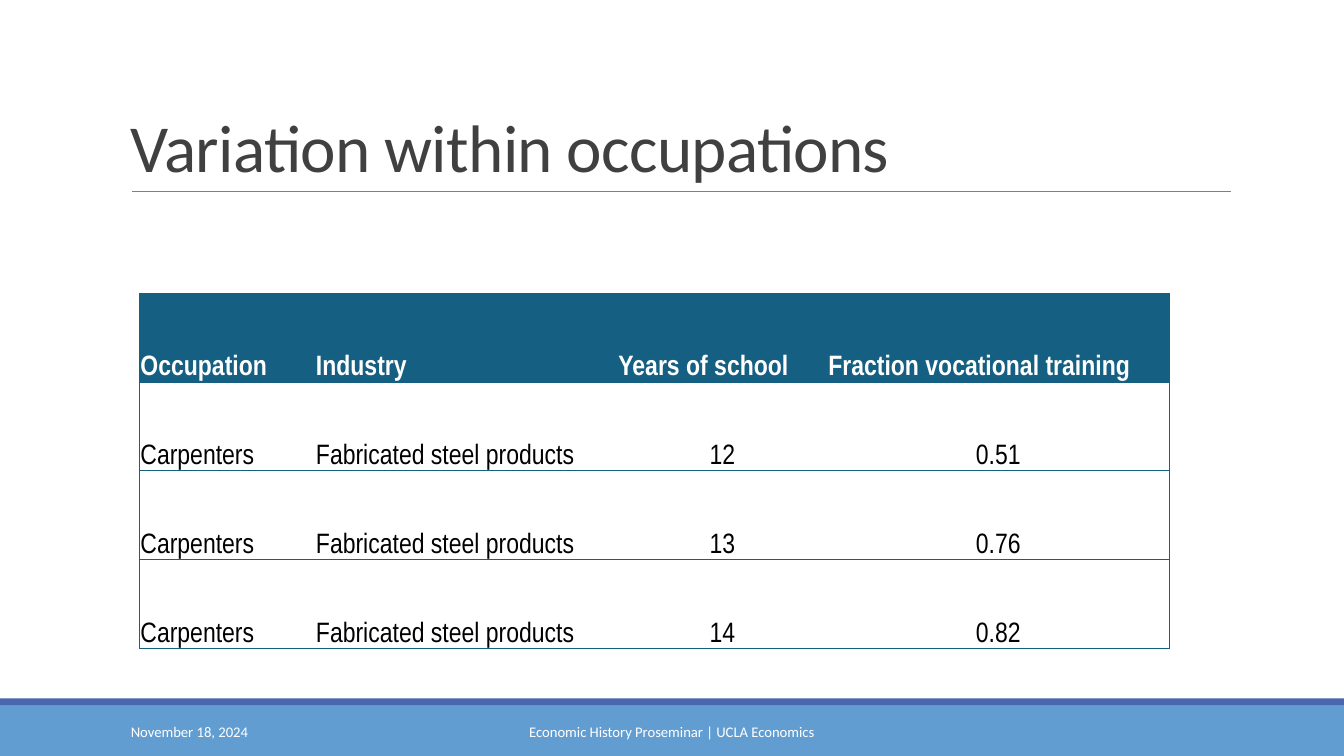
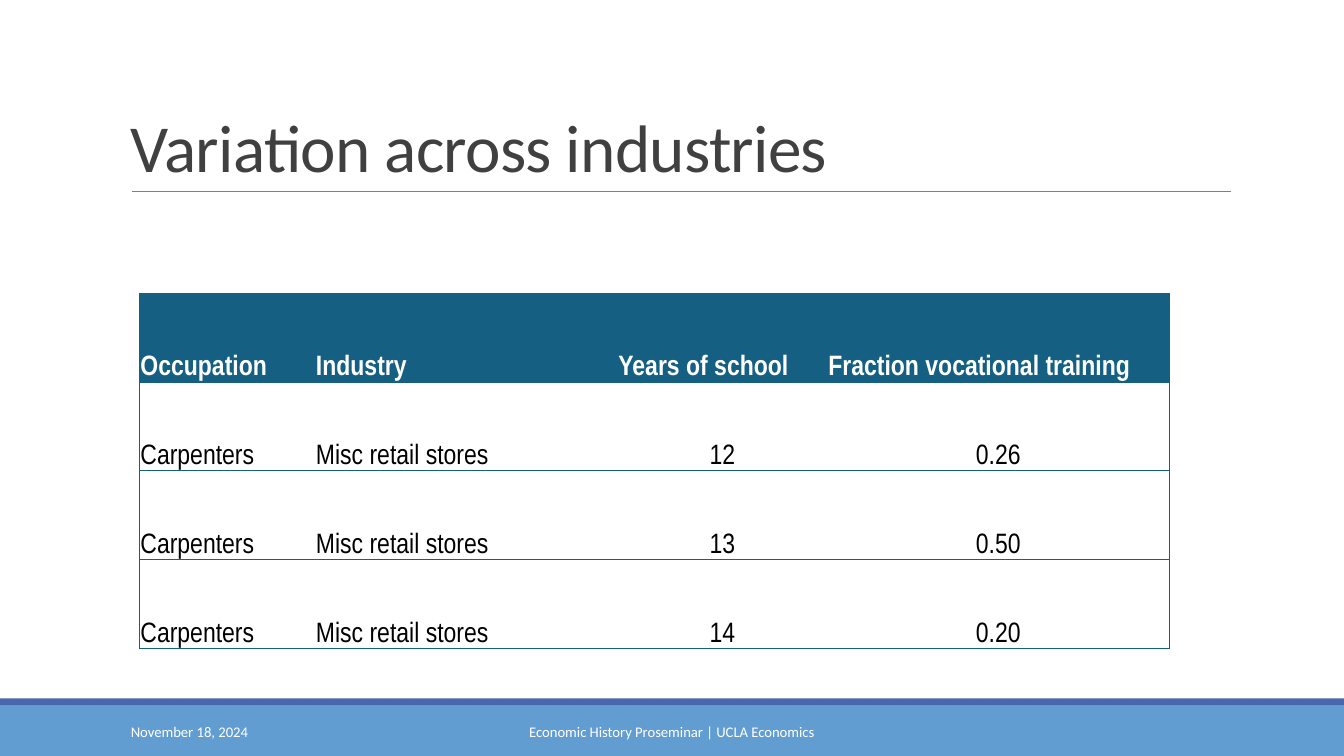
import pptx
import pptx.util
import pptx.dml.color
import pptx.enum.shapes
import pptx.enum.text
import pptx.oxml.ns
import lxml.etree

RGB = pptx.dml.color.RGBColor
WHITE = RGB(0xFF, 0xFF, 0xFF)
BLACK = RGB(0, 0, 0)
INK = RGB(0x40, 0x40, 0x40)
GREY = RGB(0x80, 0x80, 0x80)
SKY = RGB(0x62, 0x9D, 0xD1)
NAVY = RGB(0x4A, 0x66, 0xAC)
TEAL = RGB(0x15, 0x60, 0x82)

COLS, ROWS = 160, 90
LEFT = pptx.enum.text.PP_ALIGN.LEFT
MID = pptx.enum.text.PP_ALIGN.CENTER
ANCHOR = pptx.enum.text.MSO_ANCHOR
Pt = pptx.util.Pt


def add(parent, tag, **attrs):
    return lxml.etree.SubElement(parent, pptx.oxml.ns.qn(tag), attrs)


class Deck:
    font = "Calibri"
    thin = Pt(0.5)

    def __init__(self):
        self.prs = pptx.Presentation()
        self.prs.slide_width = pptx.util.Inches(13.33)
        self.prs.slide_height = pptx.util.Inches(7.5)
        self.slide = None

    # Grid units to slide lengths
    def x(self, cols):
        return round(self.prs.slide_width * cols / COLS)

    def y(self, rows):
        return round(self.prs.slide_height * rows / ROWS)

    def box(self, left, top, width, height):
        return self.x(left), self.y(top), self.x(width), self.y(height)

    # Elements
    def band(self, top, height, fill):
        kind = pptx.enum.shapes.MSO_SHAPE.RECTANGLE
        bar = self.slide.shapes.add_shape(kind, *self.box(0, top, COLS, height))
        bar.shadow.inherit = False
        bar.fill.solid()
        bar.fill.fore_color.rgb = fill
        bar.line.fill.background()

    def rule(self, left, right, top):
        kind = pptx.enum.shapes.MSO_CONNECTOR.STRAIGHT
        line = self.slide.shapes.add_connector(
            kind, self.x(left), self.y(top), self.x(right), self.y(top))
        line.line.color.rgb = GREY
        line.line.width = self.thin
        add(line._element.spPr, "a:effectLst")

    def style(self, para, words, size, color, align=LEFT, font=font, bold=False):
        para.text = words
        para.alignment = align
        para.font.name = font
        para.font.size = Pt(size)
        para.font.bold = bold
        para.font.color.rgb = color

    def text(self, place, words, size, color, anchor, align=LEFT):
        frame = self.slide.shapes.add_textbox(*self.box(*place)).text_frame
        frame.word_wrap = True
        frame.vertical_anchor = anchor
        para = frame.paragraphs[0]
        self.style(para, words, size, color, align)
        return para

    def title(self, words):
        para = self.text((14.4, 3.7, 132, 19.1), words, 48, INK, ANCHOR.BOTTOM)
        para.line_spacing = 0.85
        para.runs[0]._r.get_or_add_rPr().set("spc", "-50")

    def edges(self, cell, shown):
        props = cell._tc.get_or_add_tcPr()
        for side in "LRTB":
            line = add(props, f"a:ln{side}", w=str(self.thin))
            if side in shown:
                add(add(line, "a:solidFill"), "a:srgbClr", val=str(TEAL))
            else:
                add(line, "a:noFill")

    def table(self, left, top, widths, height, rows):
        place = self.box(left, top, sum(widths), height * len(rows))
        grid = self.slide.shapes.add_table(len(rows), len(widths), *place).table
        grid.first_row = grid.horz_banding = False
        for col, width in zip(grid.columns, widths):
            col.width = self.x(width)
        last = len(widths) - 1
        for r, row in enumerate(rows):
            grid.rows[r].height = self.y(height)
            for c, words in enumerate(row):
                self.cell(grid.cell(r, c), words, r == 0, c > 1,
                          "TB" + "L" * (c == 0) + "R" * (c == last))

    def cell(self, cell, words, head, number, shown):
        self.edges(cell, shown)
        cell.margin_left = cell.margin_right = cell.margin_top = Pt(0.72)
        cell.margin_bottom = 0
        cell.vertical_anchor = ANCHOR.BOTTOM
        if head:
            cell.fill.solid()
            cell.fill.fore_color.rgb = TEAL
        else:
            cell.fill.background()
        self.style(cell.text_frame.paragraphs[0], words, 20,
                   WHITE if head else BLACK,
                   MID if number and not head else LEFT, "Arial Narrow", head)

    # Shared frame of every slide
    def page(self, title):
        self.slide = self.prs.slides.add_slide(self.prs.slide_layouts[6])
        self.band(84, 6, SKY)
        self.band(83.15, 0.85, NAVY)
        self.rule(15.7, 146.5, 22.8)
        self.title(title)
        self.text((14.4, 84.7, 32.4, 4.8), "November 18, 2024",
                  10.5, WHITE, ANCHOR.MIDDLE)
        self.text((48.4, 84.7, 63.2, 4.8),
                  "Economic History Proseminar | UCLA Economics",
                  10.5, WHITE, ANCHOR.MIDDLE, MID)


HEAD = ("Occupation", "Industry", "Years of school", "Fraction vocational training")
YEARS = ("12", "13", "14")
PAGES = (
    ("Variation within occupations", "Fabricated steel products",
     ("0.51", "0.76", "0.82")),
    ("Variation across industries", "Misc retail stores",
     ("0.26", "0.50", "0.20")),
)


def main():
    deck = Deck()
    for title, trade, shares in PAGES:
        deck.page(title)
        body = [("Carpenters", trade, year, share)
                for year, share in zip(YEARS, shares)]
        deck.table(16.6, 34.9, (20.9, 36, 25, 40.7), 10.56, [HEAD, *body])
    deck.prs.save("out.pptx")


if __name__ == "__main__":
    main()
